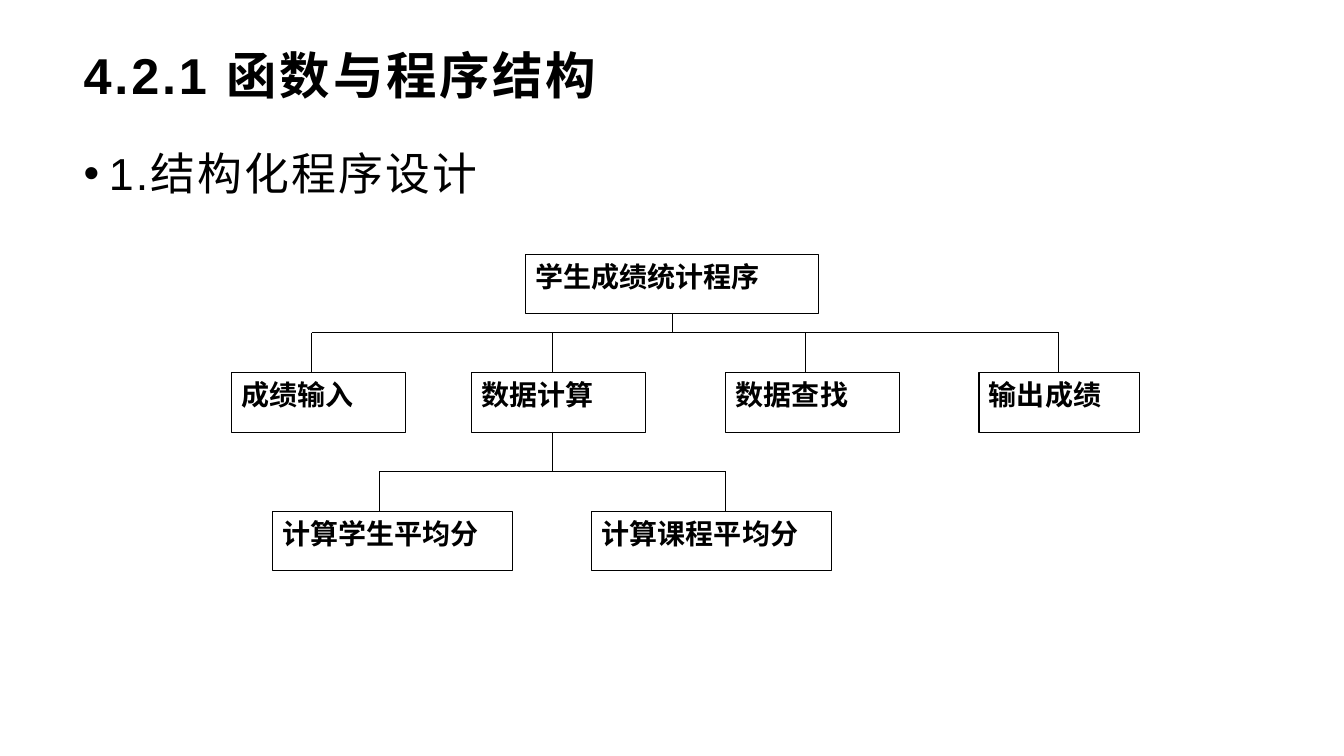
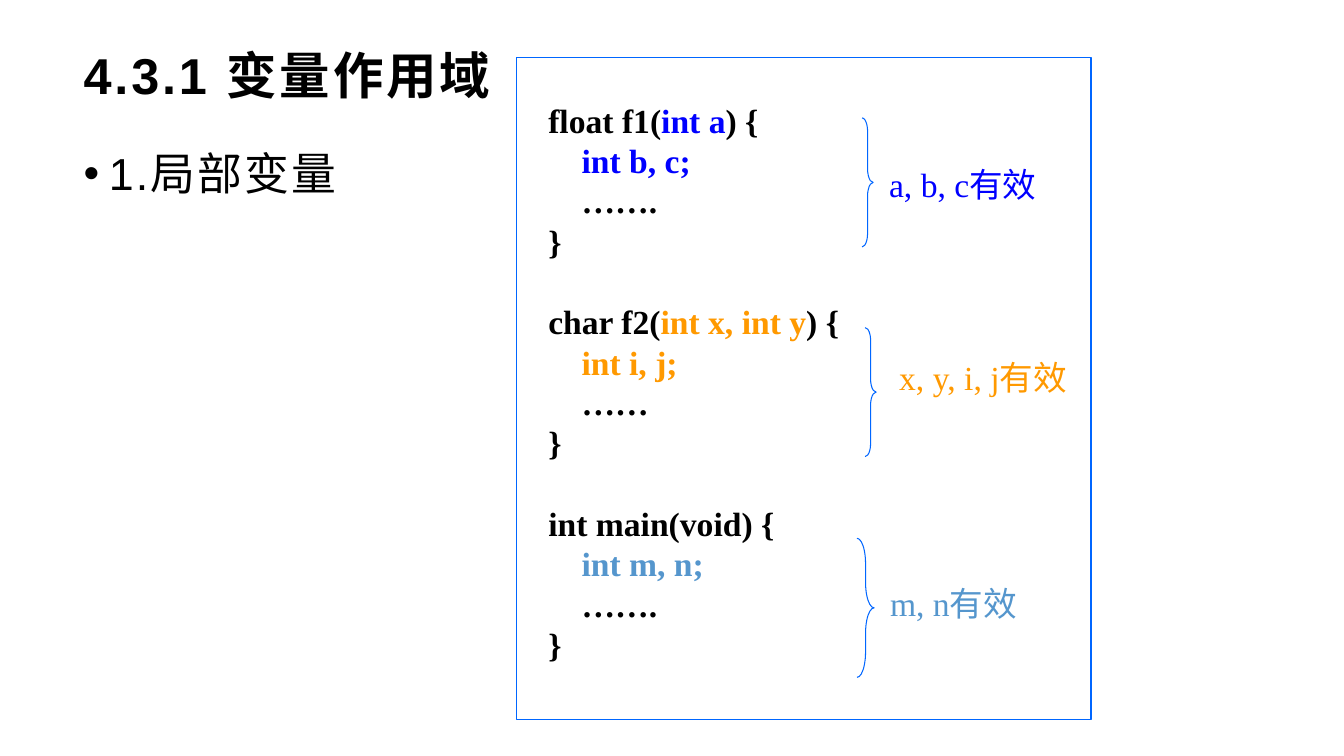
import dataclasses

import pptx
import pptx.dml.color
import pptx.enum.shapes
import pptx.enum.text
import pptx.oxml
import pptx.oxml.ns
import pptx.util

EMU_PER_PX = 9144  # 100 px to the inch
Pt = pptx.util.Pt
SHAPE = pptx.enum.shapes.MSO_SHAPE
ANCHOR = pptx.enum.text.MSO_ANCHOR
LEFT = pptx.enum.text.PP_ALIGN.LEFT
NO_AUTOFIT = pptx.enum.text.MSO_AUTO_SIZE.NONE


def rgb(value):
    return pptx.dml.color.RGBColor.from_string(value)


def px(*lengths):
    return [pptx.util.Emu(length * EMU_PER_PX) for length in lengths]


@dataclasses.dataclass(frozen=True)
class Theme:
    black = rgb("000000")
    white = rgb("FFFFFF")
    frame = rgb("0066FF")
    blue = rgb("0000FF")
    orange = rgb("FF9900")
    steel = rgb("5596CD")
    heading_font = "Arial"
    diagram_font = "Times New Roman"
    title_size = Pt(36)
    body_size = Pt(32)
    code_size = Pt(24)
    code_pitch = Pt(28.8)
    box_size = Pt(20)
    thin = Pt(0.75)
    medium = Pt(1)


THEME = Theme()
TITLE_AREA = (73, 44, 1187, 60)
BODY_AREA = (73, 124, 1187, 569)
BODY_INDENT = 25
CODE_INDENT = 33


def set_values(target, values):
    for name, value in values.items():
        setattr(target, name, value)


def add_run(paragraph, text, size, color, bold=False, font=THEME.diagram_font):
    run = paragraph.add_run()
    run.text = text
    set_values(run.font, {"name": font, "size": size, "bold": bold})
    run.font.color.rgb = color
    return run


def fill_placeholder(placeholder, area, text, size, bold, tracking, anchor):
    """Move a template placeholder and write one letter-spaced heading in it."""
    set_values(placeholder, dict(zip(("left", "top", "width", "height"), px(*area))))
    frame = placeholder.text_frame
    set_values(frame, {"auto_size": NO_AUTOFIT, "vertical_anchor": anchor, "word_wrap": True})
    paragraph = frame.paragraphs[0]
    set_values(paragraph, {"alignment": LEFT, "space_before": Pt(0)})
    run = add_run(paragraph, text, size, THEME.black, bold, THEME.heading_font)
    run._r.get_or_add_rPr().set("spc", str(tracking))
    return paragraph


def add_topic_slide(deck, title, topic):
    slide = deck.slides.add_slide(deck.slide_layouts[1])
    fill_placeholder(slide.shapes.title, TITLE_AREA, title,
                     THEME.title_size, True, 200, ANCHOR.MIDDLE)
    bullet = fill_placeholder(slide.placeholders[1], BODY_AREA, topic,
                              THEME.body_size, False, 150, ANCHOR.TOP)
    set_values(bullet, {"line_spacing": 1.3, "space_after": Pt(10)})
    indent = px(BODY_INDENT)[0]
    properties = bullet._p.get_or_add_pPr()
    properties.set("marL", str(indent))
    properties.set("indent", str(-indent))
    return slide


def add_outline(slide, preset, area, color, weight, filled=True):
    shape = slide.shapes.add_shape(preset, *px(*area))
    shape.shadow.inherit = False
    if filled:
        shape.fill.solid()
        shape.fill.fore_color.rgb = THEME.white
    else:
        shape.fill.background()
    shape.line.color.rgb = color
    shape.line.width = weight
    return shape


def add_module(slide, text, left, top, width):
    module = add_outline(slide, SHAPE.RECTANGLE, (left, top, width, 59),
                         THEME.black, THEME.thin)
    set_values(module.text_frame, {"vertical_anchor": ANCHOR.TOP, "word_wrap": True})
    paragraph = module.text_frame.paragraphs[0]
    paragraph.alignment = LEFT
    add_run(paragraph, text, THEME.box_size, THEME.black, bold=True)


def add_line(slide, *ends):
    line = slide.shapes.add_connector(pptx.enum.shapes.MSO_CONNECTOR.STRAIGHT, *px(*ends))
    line.line.color.rgb = THEME.black
    line.line.width = THEME.thin
    line._element.spPr.append(pptx.oxml.parse_xml(
        "<a:effectLst %s/>" % pptx.oxml.ns.nsdecls("a")))


def add_branch(slide, stem_x, stem_top, bus_y, child_top, child_xs):
    """Join a parent to its children by a stem, a bus and one drop for each child."""
    add_line(slide, stem_x, stem_top, stem_x, bus_y)
    add_line(slide, child_xs[0], bus_y, child_xs[-1], bus_y)
    for x in child_xs:
        add_line(slide, x, bus_y, x, child_top)


def add_text_box(slide, area):
    frame = slide.shapes.add_textbox(*px(*area)).text_frame
    frame.word_wrap = True
    return frame


def add_code(slide, area, functions):
    """Write each function as signature, declaration, dots and closing brace."""
    frame = add_text_box(slide, area)
    paragraph = frame.paragraphs[0]
    for index, (opening, parameters, closing, declaration, dots, color) in enumerate(functions):
        lines = [
            (0, [(opening, THEME.black), (parameters, color), (closing, THEME.black)]),
            (CODE_INDENT, [(declaration, color)]),
            (CODE_INDENT, [(dots, THEME.black)]),
            (0, [("}", THEME.black)]),
        ]
        for row, (indent, pieces) in enumerate(lines):
            if index or row:
                paragraph = frame.add_paragraph()
            paragraph.line_spacing = THEME.code_pitch
            if index and not row:
                paragraph.space_before = THEME.code_pitch
            paragraph._p.get_or_add_pPr().set("marL", str(px(indent)[0]))
            for text, piece_color in pieces:
                if text:
                    add_run(paragraph, text, THEME.code_size, piece_color, bold=True)


def add_scope(slide, brace_area, curl, label_left, label_top, label, color):
    """Draw a right brace and name the variables that are valid within it."""
    brace = add_outline(slide, SHAPE.RIGHT_BRACE, brace_area,
                        THEME.frame, THEME.thin, filled=False)
    brace.adjustments[0] = curl
    frame = add_text_box(slide, (label_left, label_top, 200, 53))
    add_run(frame.paragraphs[0], label, THEME.code_size, color)


def build_structure_slide(deck):
    slide = add_topic_slide(deck, "4.2.1 函数与程序结构", "1.结构化程序设计")
    modules = [
        ("学生成绩统计程序", 521, 252, 291),
        ("成绩输入", 230, 370, 172),
        ("数据计算", 468, 370, 172),
        ("数据查找", 720, 370, 172),
        ("输出成绩", 971, 370, 159),
        ("计算学生平均分", 270, 507, 238),
        ("计算课程平均分", 587, 507, 238),
    ]
    for module in modules:
        add_module(slide, *module)
    add_branch(slide, 667, 311, 330, 370, (309, 548, 799, 1050))
    add_branch(slide, 548, 429, 468, 507, (376, 720))


def build_scope_slide(deck):
    slide = add_topic_slide(deck, "4.3.1 变量作用域", "1.局部变量")
    add_outline(slide, SHAPE.RECTANGLE, (512, 57, 570, 657), THEME.frame, THEME.medium)
    add_code(slide, (534, 94, 320, 594), [
        ("float f1(", "int a", ") {", "int b, c;", "…….", THEME.blue),
        ("char f2(", "int x, int y", ") {", "int i, j;", "……", THEME.orange),
        ("int main(void) {", "", "", "int m, n;", "…….", THEME.steel),
    ])
    scopes = [
        ((855, 117, 11, 128), 1.22, 872, 158, "a, b, c有效", THEME.blue),
        ((858, 325, 11, 128), 1.16, 882, 349, "x, y, i, j有效", THEME.orange),
        ((850, 534, 17, 138), 1.48, 873, 573, "m, n有效", THEME.steel),
    ]
    for scope in scopes:
        add_scope(slide, *scope)


def main():
    deck = pptx.Presentation()
    deck.slide_width, deck.slide_height = px(1333, 750)
    build_structure_slide(deck)
    build_scope_slide(deck)
    deck.save("out.pptx")


if __name__ == "__main__":
    main()
